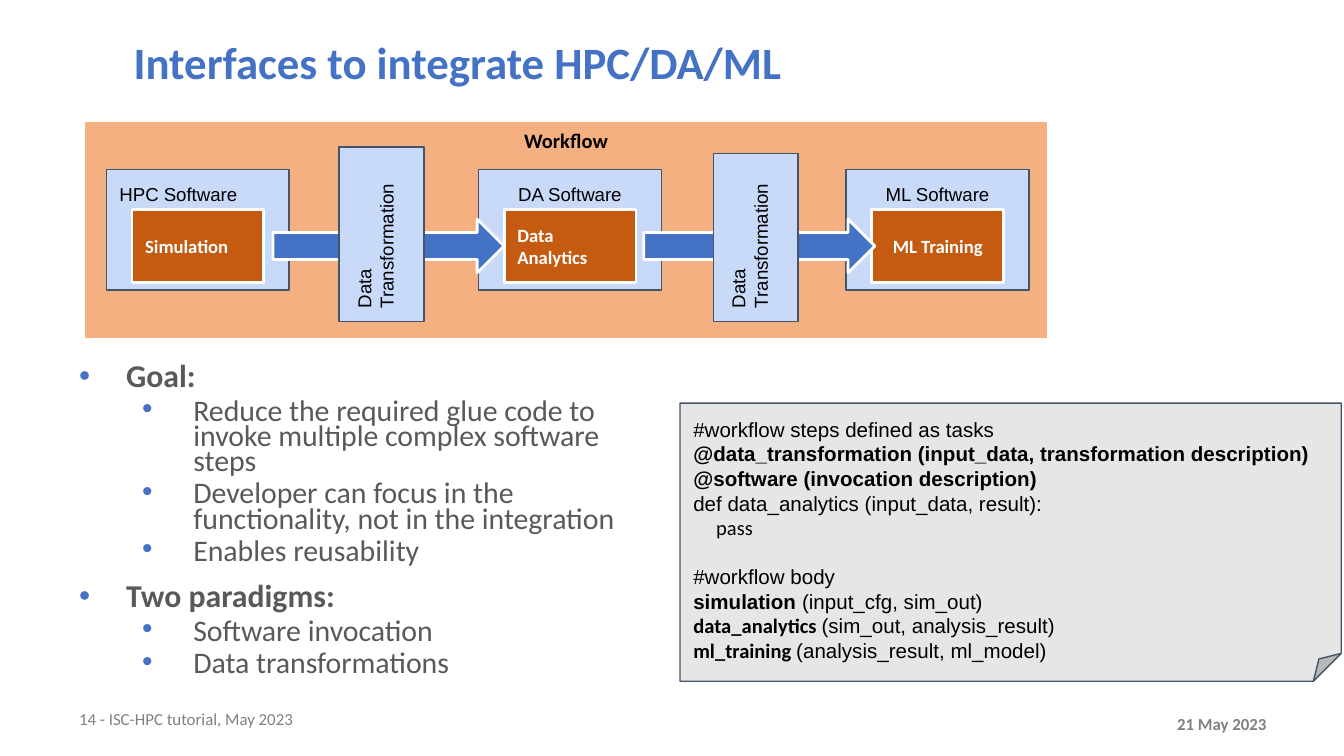
"""Build the slide on interfaces that integrate HPC, DA and ML."""
from collections import namedtuple

from lxml import etree
from pptx import Presentation
from pptx import util as u
from pptx.dml.color import RGBColor
from pptx.enum import shapes, text
from pptx.oxml import ns

BLUE = RGBColor(0x44, 0x72, 0xC4)
PALE_BLUE = RGBColor(0xC9, 0xDA, 0xF8)
SLATE = RGBColor(0x44, 0x54, 0x6A)
PEACH = RGBColor(0xF4, 0xB0, 0x81)
RUST = RGBColor(0xC5, 0x5A, 0x11)
PAPER = RGBColor(0xE7, 0xE6, 0xE6)
FOOTER_GREY = RGBColor(0x80, 0x80, 0x80)
TEXT_GREY = RGBColor(0x59, 0x59, 0x59)
WHITE = RGBColor(0xFF, 0xFF, 0xFF)
BLACK = RGBColor(0, 0, 0)
LEFT, CENTER = text.PP_ALIGN.LEFT, text.PP_ALIGN.CENTER
TOP, MIDDLE = text.MSO_ANCHOR.TOP, text.MSO_ANCHOR.MIDDLE

Area = namedtuple("Area", "left top width height")
Style = namedtuple("Style", "size color name bold", defaults=("Calibri", False))
Look = namedtuple("Look", "fill line weight")
Stage = namedtuple("Stage", "left software software_align step step_align")
Level = namedtuple("Level", "margin hanging spacing before style")

SOFTWARE_LOOK = Look(PALE_BLUE, SLATE, 0.75)
STEP_LOOK = Look(RUST, WHITE, 1.5)
ARROW_LOOK = Look(BLUE, WHITE, 1.5)
SOFTWARE_STYLE = Style(10, BLACK, "Arial")
STEP_STYLE = Style(10, WHITE, bold=True)
CODE = Style(11, BLACK, "Arial")
CODE_BOLD = Style(11, BLACK, "Arial", True)
CODE_ALT = Style(11, BLACK)
CODE_ALT_BOLD = Style(11, BLACK, bold=True)
HEADING = Level(27.4, 25.2, 0.9, 7.5, Style(17, TEXT_GREY, bold=True))
DETAIL = Level(63.4, 27.4, 0.7, 3.8, Style(16, TEXT_GREY))

STAGES = [
    Stage(56.9, "HPC Software", LEFT, "Simulation", LEFT),
    Stage(256.3, "DA Software", CENTER, "Data Analytics", LEFT),
    Stage(453.2, "ML Software", CENTER, "ML Training", CENTER),
]
ARROW_LEFTS = [146.2, 344.9]
TRANSFORMATIONS = [Area(157.7, 102.8, 93.4, 45.4), Area(359.8, 104.4, 90, 45.4)]
POINTS = [
    (HEADING, "Goal:"),
    (DETAIL, "Reduce the required glue code to invoke multiple complex software steps"),
    (DETAIL, "Developer can focus in the functionality, not in the integration"),
    (DETAIL, "Enables reusability"),
    (HEADING, "Two paradigms:"),
    (DETAIL, "Software invocation"),
    (DETAIL, "Data transformations"),
]
STEP_CODE = [
    [("#workflow steps defined as tasks", CODE)],
    [("@data_transformation (input_data, transformation description)", CODE_BOLD)],
    [("@software (invocation description)", CODE_BOLD)],
    [("def data_analytics (input_data, result):", CODE)],
    [("    ", CODE), ("pass", CODE_ALT)],
]
BODY_CODE = [
    [("#workflow body", CODE)],
    [("simulation ", CODE_BOLD), ("(input_cfg, sim_out)", CODE)],
    [("data_analytics ", CODE_ALT_BOLD), ("(sim_out, analysis_result)", CODE)],
    [("ml_training ", CODE_ALT_BOLD), ("(analysis_result, ml_model)", CODE)],
]


def format_span(span, style: Style) -> None:
    """Apply a text style to one run."""
    span.font.size = u.Pt(style.size)
    span.font.name = style.name
    span.font.bold = style.bold
    span.font.color.rgb = style.color


def write(box, words: str, style: Style, align=LEFT, anchor=TOP, inset: float = 3.6) -> None:
    """Put styled text into a box."""
    frame = box.text_frame
    frame.text = words
    frame.word_wrap = True
    frame.auto_size = text.MSO_AUTO_SIZE.NONE
    frame.vertical_anchor = anchor
    frame.margin_left = frame.margin_right = u.Pt(7.2)
    frame.margin_top = frame.margin_bottom = u.Pt(inset)
    for para in frame.paragraphs:
        para.alignment = align
        for span in para.runs:
            format_span(span, style)


def add_box(page, area: Area, look: Look, kind=shapes.MSO_SHAPE.RECTANGLE):
    """Draw a filled and outlined preset shape."""
    box = page.shapes.add_shape(kind, *map(u.Pt, area))
    box.shadow.inherit = False
    box.fill.solid()
    box.fill.fore_color.rgb = look.fill
    box.line.color.rgb = look.line
    box.line.width = u.Pt(look.weight)
    return box


def add_label(page, area: Area, words: str, style: Style, align=LEFT, anchor=TOP):
    """Draw a plain text box."""
    box = page.shapes.add_textbox(*map(u.Pt, area))
    write(box, words, style, align, anchor)
    return box


def add_bullet(para, level: Level) -> None:
    """Give a paragraph its hanging bullet."""
    props = para._p.get_or_add_pPr()
    props.set("marL", str(u.Pt(level.margin)))
    props.set("indent", str(-u.Pt(level.hanging)))
    color = etree.SubElement(props, ns.qn("a:buClr"))
    etree.SubElement(color, ns.qn("a:srgbClr"), val=str(BLUE))
    etree.SubElement(props, ns.qn("a:buFont"), typeface="Arial")
    etree.SubElement(props, ns.qn("a:buChar"), char="•")


def add_points(page, area: Area) -> None:
    """Draw the two-level bullet list."""
    box = add_label(page, area, "\n".join(words for _, words in POINTS), HEADING.style)
    for index, (para, (level, _)) in enumerate(zip(box.text_frame.paragraphs, POINTS)):
        add_bullet(para, level)
        para.line_spacing = level.spacing
        para.space_before = u.Pt(level.before if index else 0)
        format_span(para.runs[0], level.style)


def add_code(page, area: Area) -> None:
    """Draw the code note with a gap between its two parts."""
    note = add_box(page, area, Look(PAPER, SLATE, 0.75), shapes.MSO_SHAPE.FOLDED_CORNER)
    guides = note._element.spPr.find(ns.qn("a:prstGeom")).get_or_add_avLst()
    etree.SubElement(guides, ns.qn("a:gd"), name="adj", fmla="val 10000")
    write(note, "", CODE, inset=7.2)
    frame = note.text_frame
    for index, line in enumerate(STEP_CODE + BODY_CODE):
        para = frame.add_paragraph() if index else frame.paragraphs[0]
        para.alignment = LEFT
        if index == len(STEP_CODE):
            para.space_before = u.Pt(13)
        for words, style in line:
            span = para.add_run()
            span.text = words
            format_span(span, style)


def add_workflow(page) -> None:
    """Draw the workflow diagram from back to front."""
    panel = add_box(page, Area(44.9, 64.8, 516.7, 117), Look(PEACH, WHITE, 1.5))
    write(panel, "Workflow", Style(11, BLACK, bold=True), CENTER)
    for stage in STAGES:
        software = add_box(page, Area(stage.left, 90.7, 98, 64.8), SOFTWARE_LOOK)
        write(software, stage.software, SOFTWARE_STYLE, stage.software_align, inset=7.2)
        step = add_box(page, Area(stage.left + 13.8, 112.4, 70.6, 38.9), STEP_LOOK)
        write(step, stage.step, STEP_STYLE, stage.step_align, MIDDLE)
    for left in ARROW_LEFTS:
        area = Area(left, 117.4, 123.8, 28.8)
        add_box(page, area, ARROW_LOOK, shapes.MSO_SHAPE.RIGHT_ARROW)
    for area in TRANSFORMATIONS:
        box = add_box(page, area, SOFTWARE_LOOK)
        box.rotation = 270
        write(box, "Data Transformation", SOFTWARE_STYLE, inset=7.2)


def main() -> None:
    """Assemble and save the deck."""
    deck = Presentation()
    deck.slide_width, deck.slide_height = u.Pt(720), u.Pt(405)
    page = deck.slides.add_slide(deck.slide_layouts[5])
    title = page.shapes.title
    title.left, title.top, title.width, title.height = map(u.Pt, Area(64.4, 18, 517, 33.8))
    write(title, "Interfaces to integrate HPC/DA/ML", Style(24, BLUE, bold=True))
    title.text_frame.paragraphs[0].line_spacing = 0.9
    add_label(page, Area(35.3, 373.7, 254.9, 23), "14 - ISC-HPC tutorial, May 2023",
              Style(9, FOOTER_GREY), anchor=MIDDLE)
    add_label(page, Area(604.8, 378.7, 99.4, 18), "21 May 2023",
              Style(9, FOOTER_GREY, bold=True), CENTER)
    add_workflow(page)
    add_points(page, Area(33.1, 189.4, 326.9, 178.6))
    add_code(page, Area(364.3, 216, 354.2, 149))
    deck.save("out.pptx")


if __name__ == "__main__":
    main()
